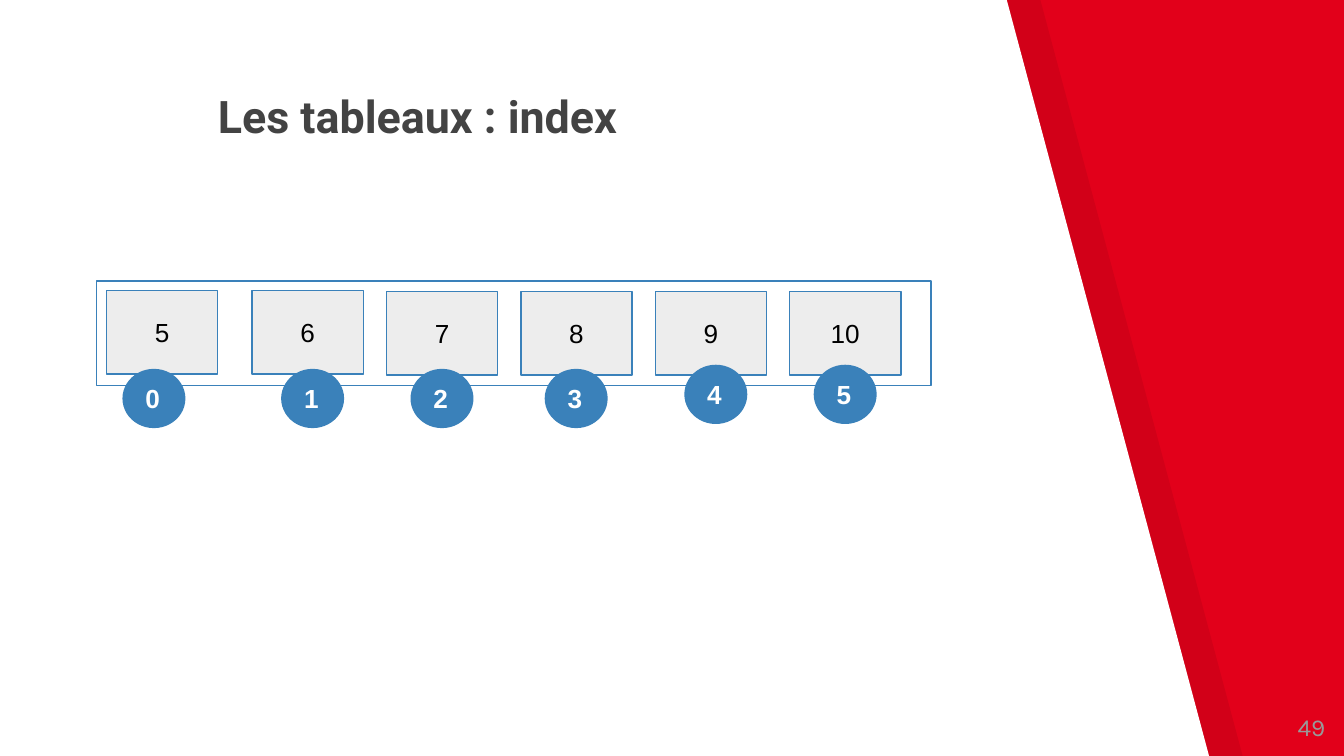
from lxml import etree
from pptx import Presentation
from pptx.dml.color import RGBColor
from pptx.enum import shapes, text
from pptx.oxml.ns import qn
from pptx.util import Pt

BLUE = "3A81BA"


def paint(shape, fill, line=None, opacity=100):
    shape.shadow.inherit = False
    shape.fill.solid()
    shape.fill.fore_color.rgb = RGBColor.from_string(fill)
    if opacity < 100:
        color = shape.fill._xPr.find(".//" + qn("a:srgbClr"))
        etree.SubElement(color, qn("a:alpha"), val=str(opacity * 1000))
    if line:
        shape.line.color.rgb = RGBColor.from_string(line)
        shape.line.width = Pt(0.75)
    else:
        shape.line.fill.background()


def write(shape, words, font, size, color, align, bold=False,
          anchor=text.MSO_ANCHOR.MIDDLE):
    frame = shape.text_frame
    frame.text = words
    frame.word_wrap = True
    frame.auto_size = text.MSO_AUTO_SIZE.NONE
    frame.vertical_anchor = anchor
    frame.margin_left = frame.margin_right = Pt(7.2)
    frame.margin_top = frame.margin_bottom = Pt(7.2)
    paragraph = frame.paragraphs[0]
    paragraph.alignment = align
    paragraph.font.name = font
    paragraph.font.size = Pt(size)
    paragraph.font.bold = bold
    paragraph.font.color.rgb = RGBColor.from_string(color)


deck = Presentation()
deck.slide_width, deck.slide_height = Pt(720), Pt(405)
slide = deck.slides.add_slide(deck.slide_layouts[5])
slide.background.fill.solid()
slide.background.fill.fore_color.rgb = RGBColor.from_string("E2001A")

# Slanted white panel and the darker band behind it
for left, color, opacity in [(18, "000000", 7), (0, "FFFFFF", 100)]:
    outline = slide.shapes.build_freeform(Pt(left), Pt(-0.7))
    outline.add_line_segments([
        (Pt(left), Pt(406)), (Pt(left + 648), Pt(406)), (Pt(left + 539.3), Pt(-0.3)),
    ])
    paint(outline.convert_to_shape(), color, opacity=opacity)

# Title, brought in front of the panel
title = slide.shapes.title
slide.shapes._spTree.append(title._element)
title.left, title.top, title.width, title.height = Pt(109.5), Pt(51), Pt(458), Pt(32.4)
write(title, "Les tableaux : index", "Roboto", 24, "434343",
      text.PP_ALIGN.LEFT, bold=True, anchor=text.MSO_ANCHOR.BOTTOM)

# Slide number
number = slide.shapes.add_textbox(Pt(674), Pt(374), Pt(43), Pt(31))
write(number, "49", "Karla", 13, "999999", text.PP_ALIGN.RIGHT)

# Frame of the array
array = slide.shapes.add_shape(
    shapes.MSO_SHAPE.RECTANGLE, Pt(51.8), Pt(150.5), Pt(447), Pt(56))
paint(array, "FFFFFF", BLUE)

# Cells with their values
cells = [(57, 155.6), (135, 155.6)] + [(207 + 72 * i, 156.2) for i in range(4)]
for value, (left, top) in enumerate(cells, start=5):
    cell = slide.shapes.add_shape(
        shapes.MSO_SHAPE.RECTANGLE, Pt(left), Pt(top), Pt(59.6), Pt(44.8))
    paint(cell, "000000", BLUE, opacity=7)
    write(cell, str(value), "Arial", 14, "000000", text.PP_ALIGN.CENTER)

# Index badges
badges = [(66, 198), (151, 198), (220.3, 198), (292.2, 198), (367, 195.8), (436.3, 195.8)]
for index, (left, top) in enumerate(badges):
    badge = slide.shapes.add_shape(
        shapes.MSO_SHAPE.FLOWCHART_CONNECTOR, Pt(left), Pt(top), Pt(33), Pt(31))
    paint(badge, BLUE, BLUE)
    write(badge, str(index), "Arial", 14, "FFFFFF", text.PP_ALIGN.LEFT, bold=True)

deck.save("out.pptx")
